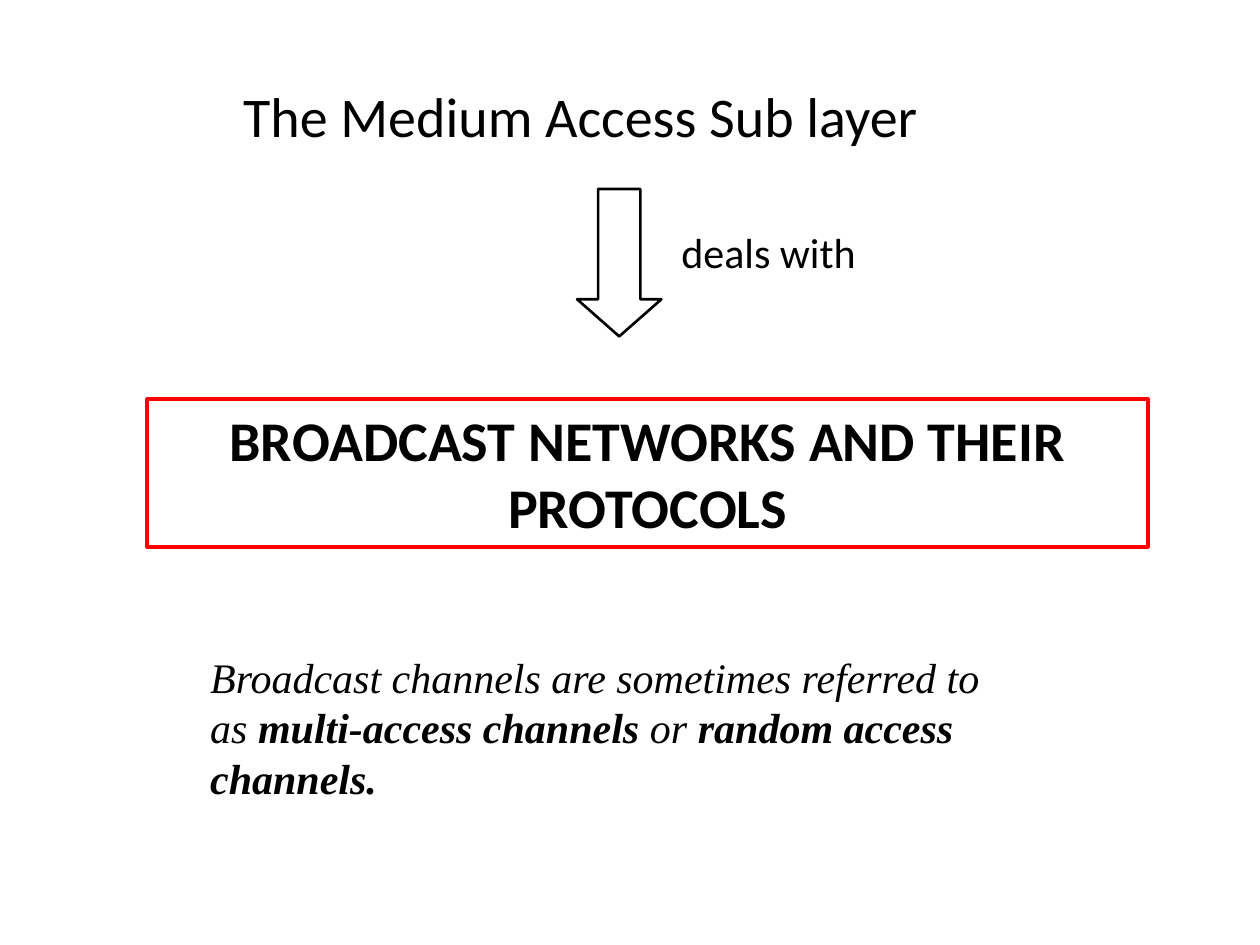
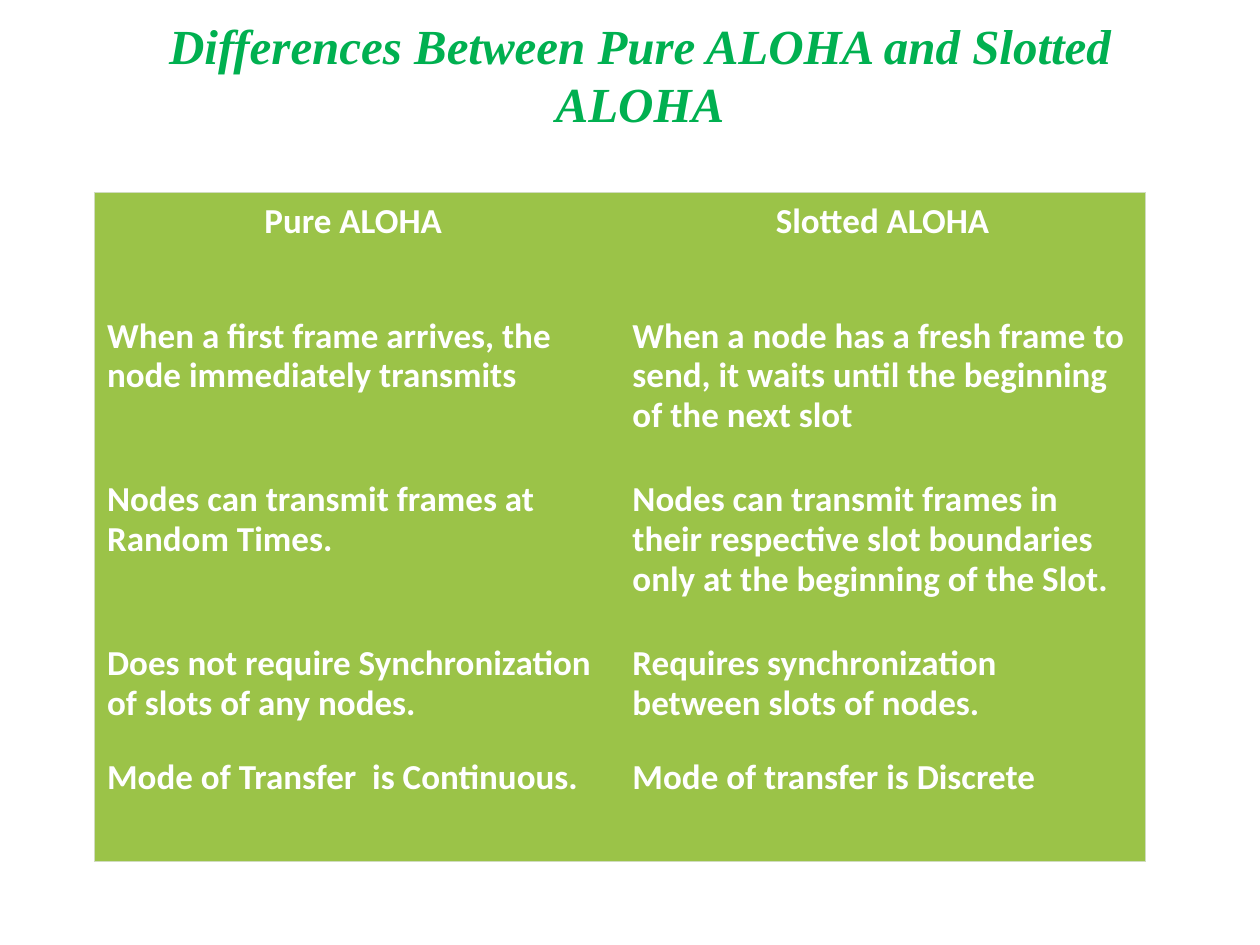
from dataclasses import dataclass

from lxml import etree
from pptx import Presentation
from pptx import util as u
from pptx.dml.color import RGBColor
from pptx.enum import shapes, text
from pptx.oxml import ns

PX = u.Inches(1) // 100
NO_STYLE = "{2D5ABB26-0587-4C30-8999-92F81FD0307C}"


@dataclass(frozen=True)
class Theme:
    sans: str = "Calibri"
    serif: str = "Times New Roman"
    ink: str = "000000"
    paper: str = "FFFFFF"
    frame: str = "FF0000"
    heading: str = "00B050"
    cell: str = "9BC348"
    edge: str = "D0DCBF"
    large: int = 32
    title: int = 28
    body: int = 24
    table: int = 20


def apply(target, values):
    for name, value in values.items():
        setattr(target, name, value)


class Painter:
    def __init__(self, deck, theme):
        self.deck = deck
        self.theme = theme
        self.page = None

    def new_page(self):
        self.page = self.deck.slides.add_slide(self.deck.slide_layouts[6])

    def fill_text(self, frame, spans, font, para_format=None, **frame_format):
        apply(frame, {"word_wrap": True, **frame_format})
        para = frame.paragraphs[0]
        apply(para, para_format or {})
        for content, changes in spans:
            span = para.add_run()
            span.text = content
            values = {"name": self.theme.sans, "color": self.theme.ink, **font, **changes}
            span.font.color.rgb = RGBColor.from_string(values.pop("color"))
            values["size"] = u.Pt(values["size"])
            apply(span.font, values)

    def text(self, place, spans, font, para_format=None, **frame_format):
        box = self.page.shapes.add_textbox(*[n * PX for n in place])
        self.fill_text(box.text_frame, spans, font, para_format, **frame_format)

    def shape(self, kind, place, line, width, fill=None):
        shape = self.page.shapes.add_shape(kind, *[n * PX for n in place])
        shape.shadow.inherit = False
        if fill:
            shape.fill.solid()
            shape.fill.fore_color.rgb = RGBColor.from_string(fill)
        else:
            shape.fill.background()
        shape.line.color.rgb = RGBColor.from_string(line)
        shape.line.width = u.Pt(width)
        return shape

    def border(self, cell, side):
        line = etree.SubElement(cell._tc.get_or_add_tcPr(), ns.qn(f"a:ln{side}"), w=str(u.Pt(0.75)))
        fill = etree.SubElement(line, ns.qn("a:solidFill"))
        etree.SubElement(fill, ns.qn("a:srgbClr"), val=self.theme.edge)

    def table(self, place, heights, rows):
        last_row, last_column = len(rows) - 1, len(rows[0]) - 1
        graphic = self.page.shapes.add_table(len(rows), len(rows[0]), *[n * PX for n in place])
        table = graphic.table
        apply(table, {"first_row": False, "horz_banding": False})
        table._tbl.tblPr.find(ns.qn("a:tableStyleId")).text = NO_STYLE
        for r, (height, row) in enumerate(zip(heights, rows)):
            table.rows[r].height = height * PX
            for c, content in enumerate(row):
                cell = table.cell(r, c)
                edges = {"L": c == 0, "R": c == last_column, "T": r == 0, "B": r == last_row}
                for side, outer in edges.items():
                    if outer:
                        self.border(cell, side)
                cell.fill.solid()
                cell.fill.fore_color.rgb = RGBColor.from_string(self.theme.cell)
                apply(cell, {"margin_left": 10 * PX, "margin_right": 10 * PX,
                             "margin_top": 7 * PX, "margin_bottom": 5 * PX})
                align = text.PP_ALIGN.LEFT if r else text.PP_ALIGN.CENTER
                self.fill_text(cell.text_frame, [(content, {})],
                               {"size": self.theme.table, "color": self.theme.paper, "bold": True},
                               {"alignment": align, "line_spacing": 0.93})


def draw_sub_layer(painter):
    theme = painter.theme
    painter.new_page()
    frame = painter.shape(shapes.MSO_SHAPE.RECTANGLE, (117, 317, 794, 117), theme.frame, 2.25)
    painter.fill_text(frame.text_frame, [("BROADCAST NETWORKS AND THEIR PROTOCOLS", {})],
                      {"size": theme.large, "bold": True},
                      {"alignment": text.PP_ALIGN.CENTER},
                      vertical_anchor=text.MSO_ANCHOR.TOP)
    painter.text((50, 50, 900, 92), [("The Medium Access Sub layer", {})],
                 {"size": theme.large}, {"line_spacing": 0.8},
                 vertical_anchor=text.MSO_ANCHOR.MIDDLE,
                 margin_left=143 * PX, margin_top=0, margin_bottom=0)
    arrow = painter.shape(shapes.MSO_SHAPE.DOWN_ARROW, (458, 150, 67, 117),
                          theme.ink, 1.5, theme.paper)
    arrow.adjustments[1] = 0.44
    painter.text((531, 175, 191, 50), [("deals with", {})], {"size": theme.body},
                 {"space_before": u.Pt(6)}, word_wrap=False)
    painter.text((157, 512, 643, 130),
                 [("Broadcast channels are sometimes referred to as ", {}),
                  ("multi-access channels", {"bold": True}),
                  (" or ", {}),
                  ("random access channels.", {"bold": True})],
                 {"size": theme.body, "name": theme.serif, "italic": True})


def draw_differences(painter):
    theme = painter.theme
    painter.new_page()
    painter.text((58, 4, 900, 150),
                 [("Differences Between Pure ALOHA and Slotted ALOHA", {})],
                 {"size": theme.title, "name": theme.serif, "color": theme.heading,
                  "bold": True, "italic": True},
                 {"alignment": text.PP_ALIGN.CENTER}, margin_top=8 * PX)
    painter.table((75, 153, 834, 531), (91, 130, 130, 90, 90), [
        ("Pure ALOHA ", "Slotted ALOHA"),
        ("When a first frame arrives, the node immediately transmits",
         "When a node has a fresh frame to send, it waits until the beginning of the next slot"),
        ("Nodes can transmit frames at Random Times.",
         "Nodes can transmit frames in their respective slot boundaries "
         "only at the beginning of the Slot."),
        ("Does not require Synchronization of slots of any nodes.",
         "Requires synchronization between slots of nodes."),
        ("Mode of Transfer  is Continuous.", "Mode of transfer is Discrete"),
    ])


def main():
    deck = Presentation()
    apply(deck, {"slide_width": 1000 * PX, "slide_height": 750 * PX})
    painter = Painter(deck, Theme())
    draw_sub_layer(painter)
    draw_differences(painter)
    deck.save("out.pptx")


if __name__ == "__main__":
    main()
